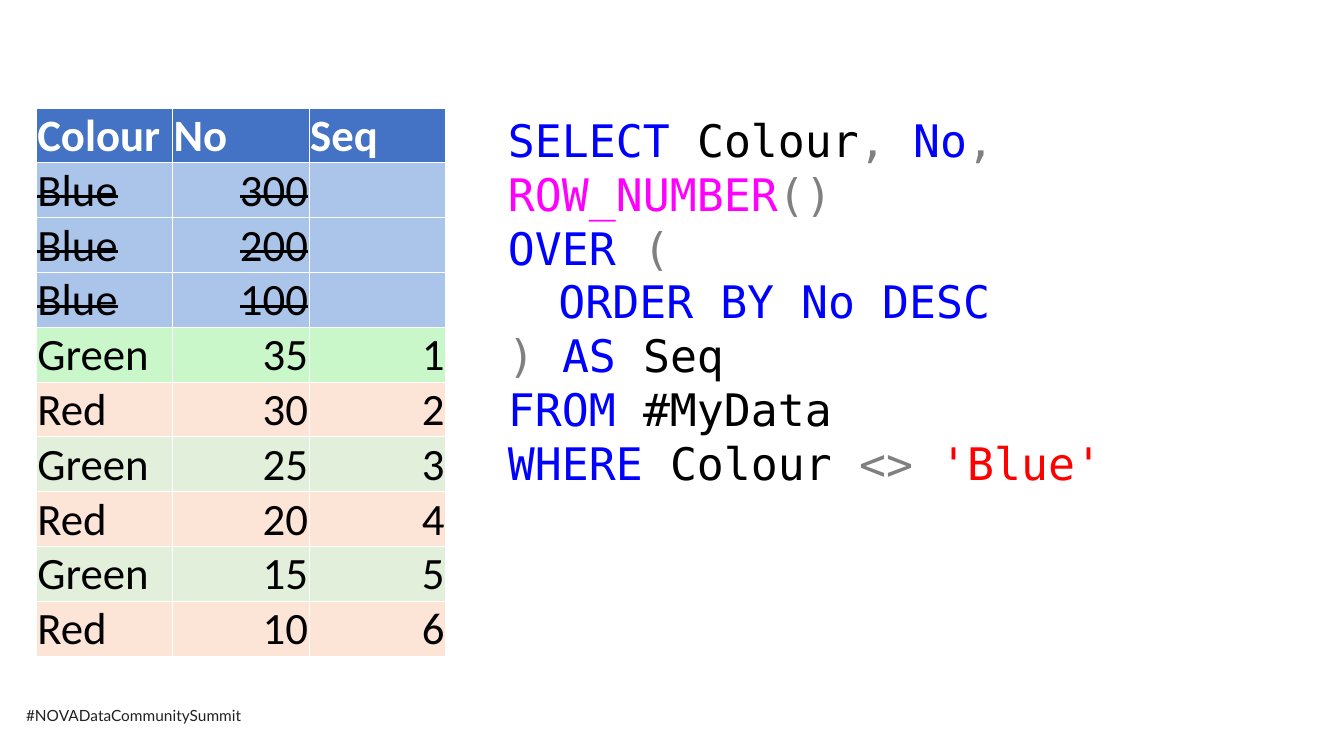
import pptx
import pptx.util
import pptx.dml.color
import pptx.enum.text
import pptx.oxml
import pptx.oxml.ns
from pptx.util import Inches

HUES = {
    "white": "FFFFFF", "black": "000000", "head": "4472C4", "ink": "222222",
    "gone": "ABC4E9", "first": "C9F7CA", "red": "FCE4D6", "green": "E2EFDA",
    "key": "0000FF", "sign": "808080", "func": "FF00FF", "text": "FF0000",
}


def style(run, size, face, hue):
    run.font.size = pptx.util.Pt(size)
    run.font.name = face
    run.font.color.rgb = pptx.dml.color.RGBColor.from_string(HUES[hue])


def edge(cell):
    """Draw a thin white border on all four sides of a cell."""
    for side in ("lnL", "lnR", "lnT", "lnB"):
        cell._tc.get_or_add_tcPr().append(pptx.oxml.parse_xml(
            f'<a:{side} {pptx.oxml.ns.nsdecls("a")} w="6350"><a:solidFill>'
            f'<a:srgbClr val="{HUES["white"]}"/></a:solidFill></a:{side}>'))


deck = pptx.Presentation()
deck.slide_width = Inches(13.33)
deck.slide_height = Inches(7.5)
slide = deck.slides.add_slide(deck.slide_layouts[6])

# Footer
foot = slide.shapes.add_textbox(
    Inches(0.16), Inches(6.96), Inches(2.34), Inches(0.29)).text_frame
foot.word_wrap = False
foot.text = "#NOVADataCommunitySummit"
style(foot.paragraphs[0].runs[0], 11, "Lato", "ink")

# Data table: fill, then one value for each column
rows = [
    ("head", "Colour", "No", "Seq"),
    ("gone", "Blue", "300", ""),
    ("gone", "Blue", "200", ""),
    ("gone", "Blue", "100", ""),
    ("first", "Green", "35", "1"),
    ("red", "Red", "30", "2"),
    ("green", "Green", "25", "3"),
    ("red", "Red", "20", "4"),
    ("green", "Green", "15", "5"),
    ("red", "Red", "10", "6"),
]
table = slide.shapes.add_table(
    len(rows), 3, Inches(0.36), Inches(1.07), Inches(4.06), Inches(5.4)).table
table.horz_banding = False

for r, (fill, *vals) in enumerate(rows):
    for c, val in enumerate(vals):
        cell = table.cell(r, c)
        edge(cell)
        cell.fill.solid()
        cell.fill.fore_color.rgb = pptx.dml.color.RGBColor.from_string(HUES[fill])
        cell.vertical_anchor = pptx.enum.text.MSO_ANCHOR.BOTTOM
        cell.margin_left = cell.margin_right = cell.margin_top = Inches(0.01)
        cell.margin_bottom = 0
        if not val:
            continue
        cell.text_frame.text = val
        para = cell.text_frame.paragraphs[0]
        if val.isdigit():
            para.alignment = pptx.enum.text.PP_ALIGN.RIGHT
        run = para.runs[0]
        style(run, 32, "Calibri", "white" if fill == "head" else "black")
        run.font.bold = fill == "head"
        if fill == "gone":
            run._r.get_or_add_rPr().set("strike", "sngStrike")

# SQL query: each line is a list of coloured pieces
query = [
    [("SELECT", "key"), (" Colour", "black"), (", ", "sign"),
     ("No", "key"), (",", "sign")],
    [("ROW_NUMBER", "func"), ("()", "sign")],
    [("OVER ", "key"), ("(", "sign")],
    [("\tORDER BY No DESC", "key")],
    [(") ", "sign"), ("AS ", "key"), ("Seq", "black")],
    [("FROM", "key"), (" #MyData", "black")],
    [("WHERE", "key"), (" Colour ", "black"), ("<> ", "sign"), ("'Blue'", "text")],
]
code = slide.shapes.add_textbox(
    Inches(4.94), Inches(1.07), Inches(6.67), Inches(3.87)).text_frame
code.word_wrap = True
for n, line in enumerate(query):
    para = code.add_paragraph() if n else code.paragraphs[0]
    para.line_spacing = pptx.util.Pt(38.4)
    for piece, hue in line:
        run = para.add_run()
        run.text = piece
        style(run, 32, "DejaVu Sans Mono", hue)

deck.save("out.pptx")
